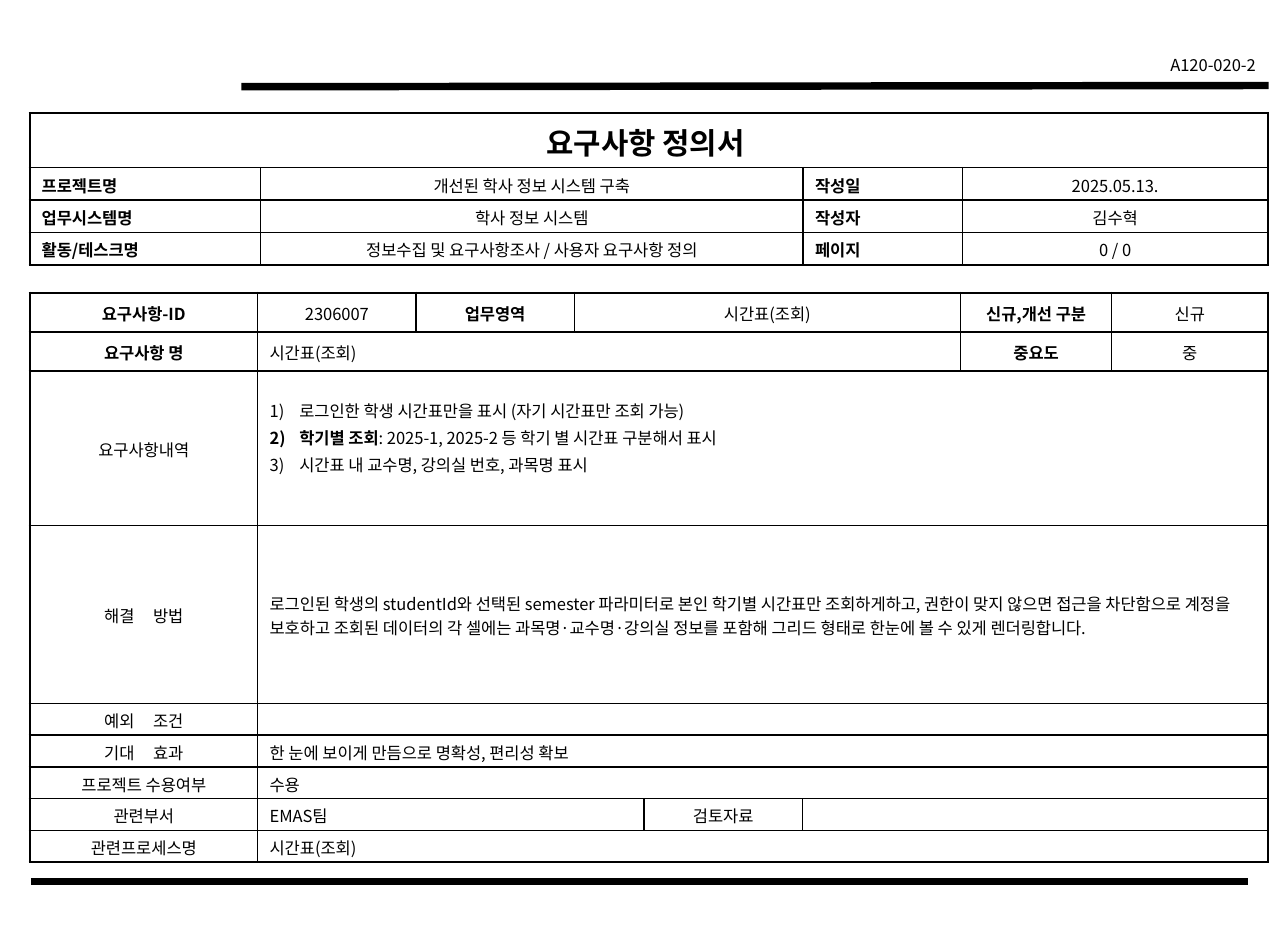
from lxml.etree import SubElement
from pptx import Presentation
from pptx.dml.color import RGBColor
from pptx.enum.text import MSO_ANCHOR, PP_ALIGN
from pptx.oxml.ns import qn
from pptx.util import Inches, Pt

INK = RGBColor(0, 0, 0)
FONT = "Noto Sans CJK KR"
THIN, THICK, RULE = 1, 1.5, 4.5
CENTER, LEFT, RIGHT, JUSTIFY = PP_ALIGN.CENTER, PP_ALIGN.LEFT, PP_ALIGN.RIGHT, PP_ALIGN.JUSTIFY


def write(para, text, size=10, bold=False, align=CENTER, before=2, numbered=False, gap=0):
    """Fill a paragraph; ** toggles bold and | marks a space widened by gap points."""
    para.alignment = align
    para.space_before = Pt(before)
    if numbered:
        properties = para._p.get_or_add_pPr()
        properties.set("marL", str(Inches(0.25)))
        properties.set("indent", str(-Inches(0.25)))
        SubElement(properties, qn("a:buFont"), typeface=FONT)
        SubElement(properties, qn("a:buAutoNum"), type="arabicParenR")
    if not text:
        SubElement(para._p, qn("a:endParaRPr"), sz=str(size * 100))
    for order, part in enumerate(text.split("**")):
        for position, piece in enumerate(part.split("|")):
            if position:
                space = add_span(para, " ", size, bold)
                space.font._element.set("spc", str(gap * 100))
            if piece:
                add_span(para, piece, size, bold or order % 2 == 1)


def add_span(para, text, size, bold):
    """Add one formatted run and return it."""
    span = para.add_run()
    span.text = text
    span.font.size = Pt(size)
    span.font.bold = bold
    span.font.color.rgb = INK
    span.font.name = FONT
    span.font._element.set("kern", "0")
    SubElement(span.font._element, qn("a:ea"), typeface=FONT)
    return span


class Page:
    """Draw on one slide, with lengths in percent of its width and height."""

    def __init__(self, deck):
        self.deck = deck
        self.shapes = deck.slides.add_slide(deck.slide_layouts[6]).shapes

    def across(self, share):
        """Turn percent of the width into a length."""
        return round(self.deck.slide_width * share / 100)

    def down(self, share):
        """Turn percent of the height into a length."""
        return round(self.deck.slide_height * share / 100)

    def rule(self, left, top, right, bottom):
        """Draw a heavy line."""
        line = self.shapes.add_connector(
            1, self.across(left), self.down(top), self.across(right), self.down(bottom))
        line.line.color.rgb = INK
        line.line.width = Pt(RULE)
        SubElement(line._element.spPr, qn("a:effectLst"))

    def label(self, text, left, top, width, height, **style):
        """Place a text box."""
        box = self.shapes.add_textbox(
            self.across(left), self.down(top), self.across(width), self.down(height))
        box.text_frame.word_wrap = True
        write(box.text_frame.paragraphs[0], text, **style)

    def form(self, left, top, widths, heights, rows, thick_rows=()):
        """Build a ruled table from rows of (text, column span, style)."""
        frame = self.shapes.add_table(
            len(heights), len(widths), self.across(left), self.down(top),
            self.across(sum(widths)), self.down(sum(heights)))
        table = frame.table
        table.first_row = table.horz_banding = False
        for column, width in zip(table.columns, widths):
            column.width = self.across(width)
        for row, height in zip(table.rows, heights):
            row.height = self.down(height)
        thick = {0, len(heights), *thick_rows}
        for number, entries in enumerate(rows):
            start = 0
            for text, span, style in entries:
                end = start + span
                edges = {
                    "L": THIN if start else THICK,
                    "R": THIN if end < len(widths) else THICK,
                    "T": THICK if number in thick else THIN,
                    "B": THICK if number + 1 in thick else THIN,
                }
                for column in range(start, end):
                    self.border(table.cell(number, column), edges)
                cell = table.cell(number, start)
                if span > 1:
                    cell.merge(table.cell(number, end - 1))
                self.fill_cell(cell, text, **style)
                start = end

    def border(self, cell, edges):
        """Rule the given sides of a cell and clear its fill."""
        properties = cell._tc.get_or_add_tcPr()
        for side, width in edges.items():
            line = SubElement(properties, qn(f"a:ln{side}"), w=str(Pt(width)))
            fill = SubElement(line, qn("a:solidFill"))
            SubElement(fill, qn("a:srgbClr"), val=str(INK))
        cell.fill.background()

    def fill_cell(self, cell, text, bottom=0.01, **style):
        """Write the lines of a cell."""
        cell.vertical_anchor = MSO_ANCHOR.MIDDLE
        cell.margin_left = cell.margin_right = Inches(0.1)
        cell.margin_top = Inches(0.03)
        cell.margin_bottom = Inches(bottom)
        for order, line in enumerate(text.split("\n")):
            frame = cell.text_frame
            para = frame.add_paragraph() if order else frame.paragraphs[0]
            write(para, line, **style)


def value(text, span=1, **style):
    """Describe a plain cell."""
    return text, span, style


def heading(text, **style):
    """Describe a bold cell."""
    return value(text, bold=True, **style)


def answer(text, span=7, **style):
    """Describe a left-aligned cell."""
    return value(text, span, align=LEFT, **style)


def main():
    """Build the requirement definition form."""
    deck = Presentation()
    deck.slide_width = Pt(780)
    deck.slide_height = Pt(570)
    page = Page(deck)
    page.rule(18.74, 9.22, 98.5, 9.09)
    page.label("A120-020-2", 88.43, 5.2, 9.97, 3.41, align=RIGHT, before=0)
    page.rule(2.4, 93.69, 96.92, 93.69)

    project = [
        ("프로젝트명", "개선된 학사 정보 시스템 구축", "작성일", "2025.05.13."),
        ("업무시스템명 ", "학사 정보 시스템", "작성자", "김수혁"),
        ("활동/테스크명", "정보수집 및 요구사항조사 / 사용자 요구사항 정의", "페이지", "0 / 0"),
    ]
    title = [value("요구사항 정의서 ", 4, size=18, bold=True, before=3.6)]
    details = [[heading(first, align=JUSTIFY), value(second), heading(third, align=JUSTIFY),
                value(fourth)] for first, second, third, fourth in project]
    page.form(2.31, 12, [17.9, 42.15, 12.36, 23.72], [5.81] + [3.44] * 3, [title] + details)

    subject = "시간표(조회)"
    needs = ("로그인한 학생 시간표만을 표시 (자기 시간표만 조회 가능)\n"
             "**학기별 조회**: 2025-1, 2025-2 등 학기 별 시간표 구분해서 표시\n"
             "시간표 내 교수명, 강의실 번호, 과목명 표시")
    solution = ("로그인된 학생의 studentId와 선택된 semester 파라미터로 본인 학기별 시간표만 "
                "조회하게하고, 권한이 맞지 않으면 접근을 차단함으로 계정을 보호하고 조회된 데이터의 "
                "각 셀에는 과목명·교수명·강의실 정보를 포함해 그리드 형태로 한눈에 볼 수 있게 렌더링합니다.")
    requirement = [
        [heading("요구사항-ID"), value("2306007"), heading("업무영역"), value(subject, 3),
         heading("신규,개선 구분"), value("신규")],
        [heading("요구사항 명"), answer(subject, 5), heading("중요도"), value("중")],
        [value("요구사항내역"), answer(needs, numbered=True, bottom=0.22)],
        [value("해결|방법", gap=9), answer(solution)],
        [value("예외|조건", gap=9), answer("")],
        [value("기대|효과", gap=9), answer("한 눈에 보이게 만듬으로 명확성, 편리성 확보")],
        [value("프로젝트 수용여부"), answer("수용")],
        [value("관련부서"), answer("EMAS팀", 3), value("검토자료"), answer("", 3)],
        [value("관련프로세스명"), answer(subject)],
    ]
    quarter = 12.29
    page.form(2.31, 31.09,
              [17.7, quarter, quarter, 5.42, quarter, quarter, 11.74, 12.12],
              [4.17, 4.2, 16.4, 18.9] + [3.38] * 5, requirement, thick_rows=(1, 2))
    deck.save("out.pptx")


if __name__ == "__main__":
    main()
